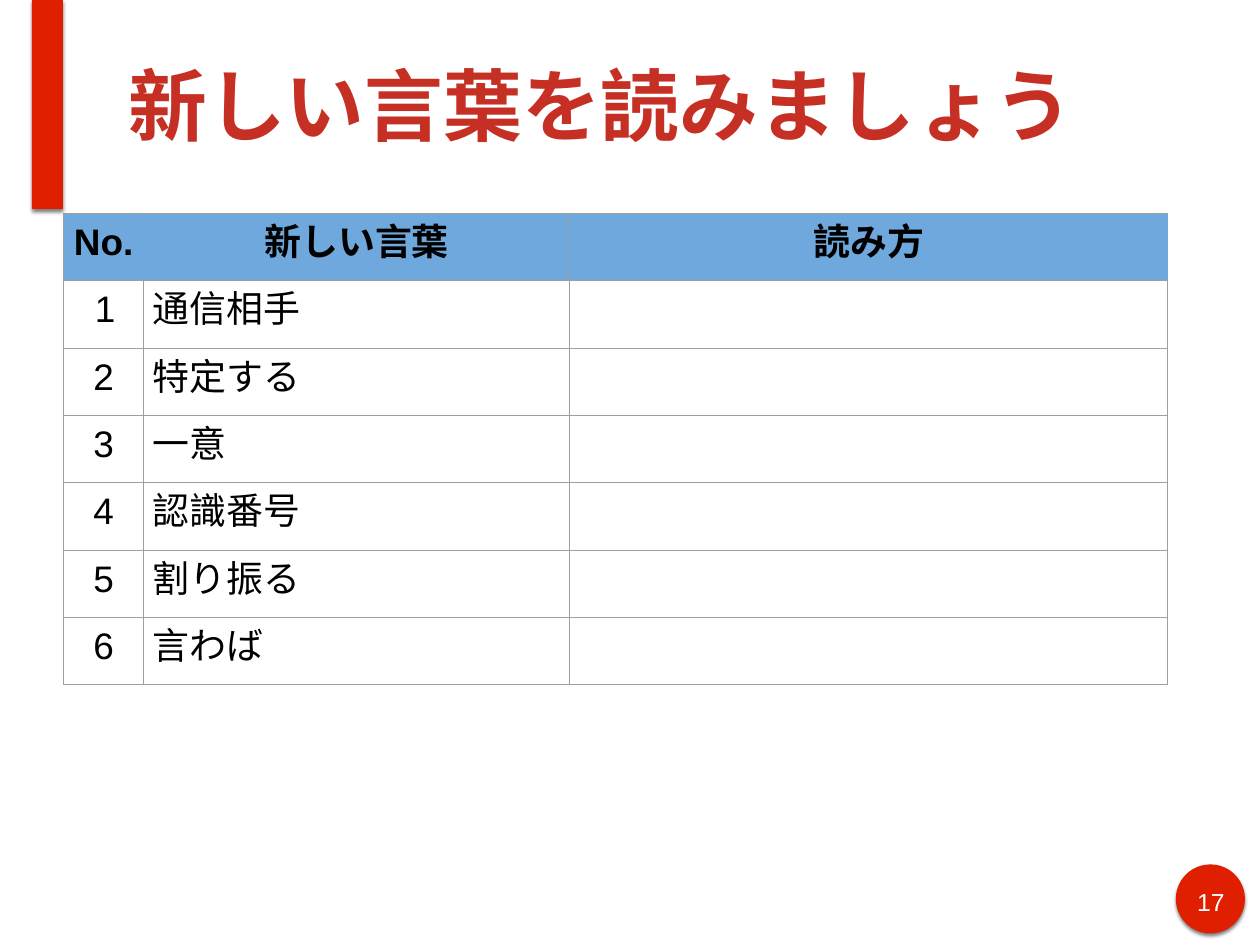
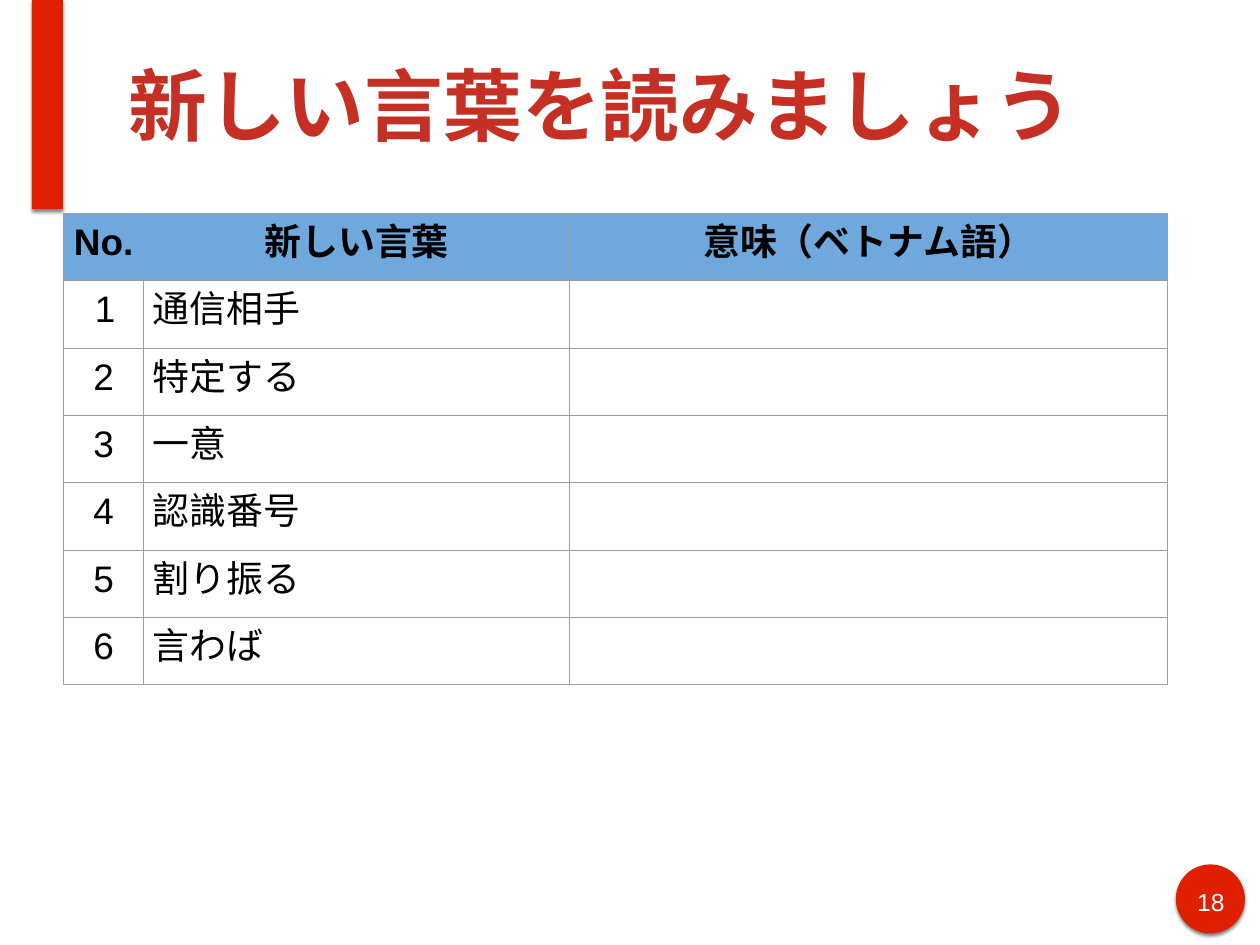
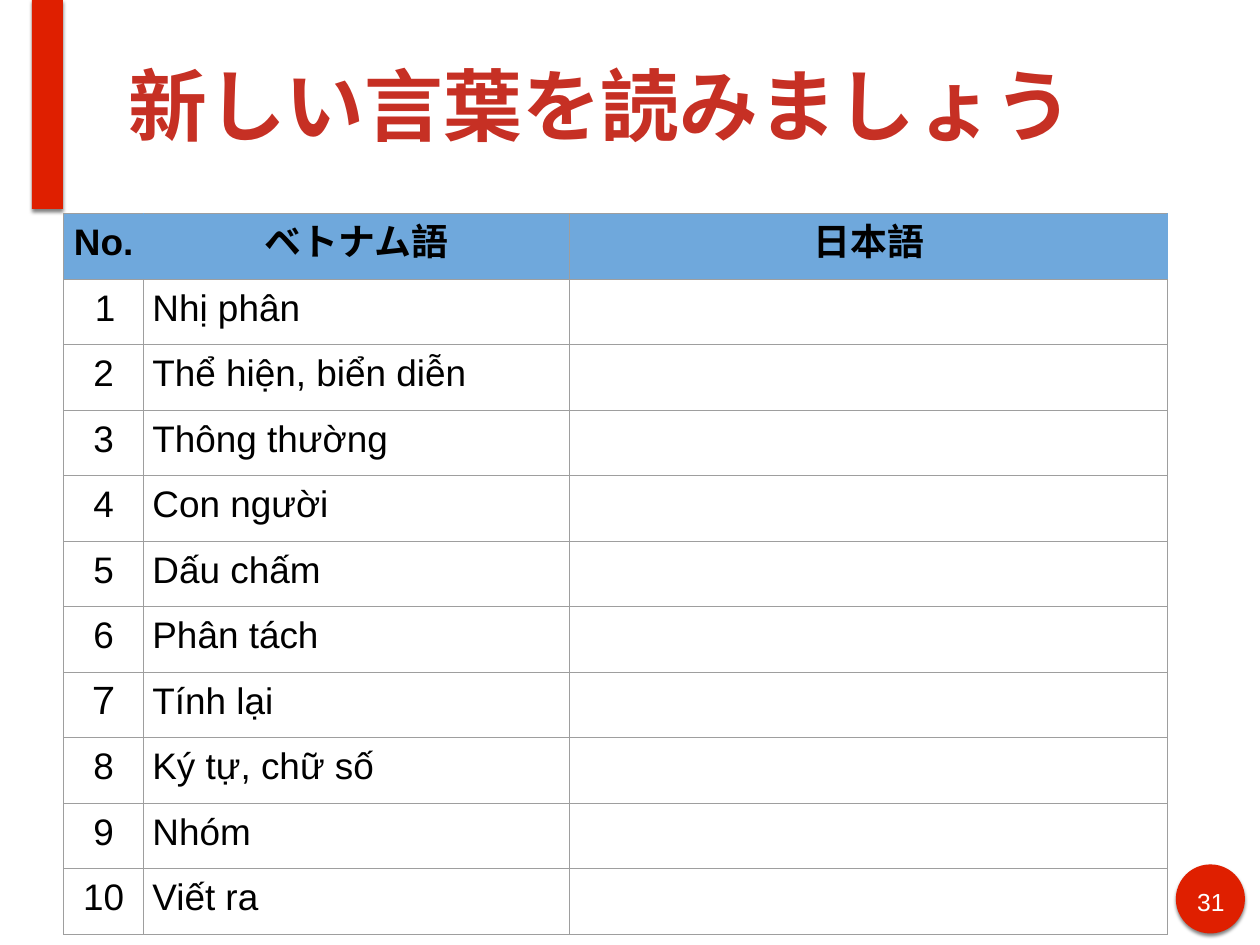
from lxml.etree import SubElement
from pptx import Presentation
from pptx.dml.color import RGBColor
from pptx.enum.shapes import MSO_SHAPE
from pptx.enum.text import MSO_ANCHOR, MSO_AUTO_SIZE, PP_ALIGN
from pptx.oxml.ns import qn
from pptx.util import Pt

# Content
TITLE = "新しい言葉を読みましょう"
JAPANESE = ["通信相手", "特定する", "一意", "認識番号", "割り振る", "言わば"]
VIETNAMESE = ["Nhị phân", "Thể hiện, biển diễn", "Thông thường", "Con người",
              "Dấu chấm", "Phân tách", "Tính lại", "Ký tự, chữ số", "Nhóm", "Viết ra"]
SLIDES = [
    {"page": "17", "heads": ["No.", "新しい言葉", "読み方"], "words": JAPANESE, "row": 76},
    {"page": "18", "heads": ["No.", "新しい言葉", "意味（ベトナム語）"], "words": JAPANESE, "row": 76},
    {"page": "31", "heads": ["No.", "ベトナム語", "日本語"], "words": VIETNAMESE, "row": 74},
]
WIDE_DIGITS = {("31", 7): "７"}

# Shared style; lengths in px, 100 to the inch
PX = 9144
FONT = "Arial"
COLORS = {"accent": "DF1F00", "title": "C63024", "head": "6FA8DC",
          "grid": "9E9E9E", "text": "000000", "page": "FFFFFF"}
BAND = (36, 0, 35, 236)
BADGE = (1327, 976, 78, 78)
PAGE_BOX = (1342, 995, 49, 39)
TITLE_BOX = (139, 12, 1214, 212)
TABLE_LEFT, TABLE_TOP = 72, 241
COLUMNS = [90, 481, 675]


def emu(*lengths):
    return [n * PX for n in lengths]


def rgb(name):
    return RGBColor.from_string(COLORS[name])


def set_margins(part, px):
    part.margin_left = part.margin_right = part.margin_top = part.margin_bottom = px * PX


def write(tf, text, size, color, bold=False, align=PP_ALIGN.LEFT):
    p = tf.paragraphs[0]
    p.alignment = align
    r = p.add_run()
    r.text = text
    r.font.size, r.font.bold, r.font.name = Pt(size), bold, FONT
    r.font.color.rgb = rgb(color)
    SubElement(r.font._element, qn("a:ea"), typeface=FONT)
    return p


def add_accent(s, kind, box):
    sp = s.shapes.add_shape(kind, *emu(*box))
    sp.fill.solid()
    sp.fill.fore_color.rgb = rgb("accent")
    sp.line.fill.background()
    sp.shadow.inherit = False
    effects = sp._element.spPr.find(qn("a:effectLst"))
    shadow = SubElement(effects, qn("a:outerShdw"), blurRad=str(Pt(3)), dist=str(Pt(2)),
                        dir="5400000", rotWithShape="0")
    black = SubElement(shadow, qn("a:srgbClr"), val=COLORS["text"])
    SubElement(black, qn("a:alpha"), val="50000")


def set_borders(cell, colors):
    tcPr = cell._tc.get_or_add_tcPr()
    for i, (side, color) in enumerate(zip(("lnL", "lnR", "lnT", "lnB"), colors)):
        ln = tcPr.makeelement(qn(f"a:{side}"), {"w": str(Pt(0.75))})
        fill = SubElement(ln, qn("a:solidFill"))
        SubElement(fill, qn("a:srgbClr"), val=COLORS[color])
        tcPr.insert(i, ln)


def add_frame(s, page):
    add_accent(s, MSO_SHAPE.OVAL, BADGE)
    add_accent(s, MSO_SHAPE.RECTANGLE, BAND)
    tf = s.shapes.add_textbox(*emu(*PAGE_BOX)).text_frame
    tf.word_wrap = True
    set_margins(tf, 6)
    write(tf, page, 20, "page", align=PP_ALIGN.CENTER)

    title = s.shapes.title
    title.left, title.top, title.width, title.height = emu(*TITLE_BOX)
    tf = title.text_frame
    tf.word_wrap, tf.auto_size = True, MSO_AUTO_SIZE.NONE
    tf.vertical_anchor = MSO_ANCHOR.MIDDLE
    set_margins(tf, 6)
    write(tf, TITLE, 64, "title", bold=True)


def add_word_table(s, page, heads, words, row):
    rows = [heads] + [[WIDE_DIGITS.get((page, n), str(n)), word, ""]
                      for n, word in enumerate(words, 1)]
    box = emu(TABLE_LEFT, TABLE_TOP, sum(COLUMNS), row * len(rows))
    table = s.shapes.add_table(len(rows), len(COLUMNS), *box).table
    table.first_row = table.horz_banding = False
    for column, width in zip(table.columns, COLUMNS):
        column.width = width * PX
    for i, texts in enumerate(rows):
        table.rows[i].height = row * PX
        for j, text in enumerate(texts):
            cell = table.cell(i, j)
            set_margins(cell, 10)
            head = i == 0
            if head:
                cell.fill.solid()
                cell.fill.fore_color.rgb = rgb("head")
            else:
                cell.fill.background()
            # The header has no visible rule after "No." or at its right end
            left = "head" if head and j == 1 else "grid"
            right = "head" if head and j != 1 else "grid"
            set_borders(cell, (left, right, "grid", "grid"))
            if not text:
                continue
            first = (i, j) == (1, 0)
            centred = (head or j == 0) and not first
            p = write(cell.text_frame, text, 30, "text", head,
                      PP_ALIGN.CENTER if centred else PP_ALIGN.LEFT)
            if first:
                pPr = p._p.get_or_add_pPr()
                pPr.set("marL", str(50 * PX))
                pPr.set("indent", str(-25 * PX))


def main():
    prs = Presentation()
    prs.slide_width, prs.slide_height = emu(1422, 1067)
    for content in SLIDES:
        s = prs.slides.add_slide(prs.slide_layouts[5])
        add_frame(s, content["page"])
        add_word_table(s, **content)
    prs.save("out.pptx")


if __name__ == "__main__":
    main()
